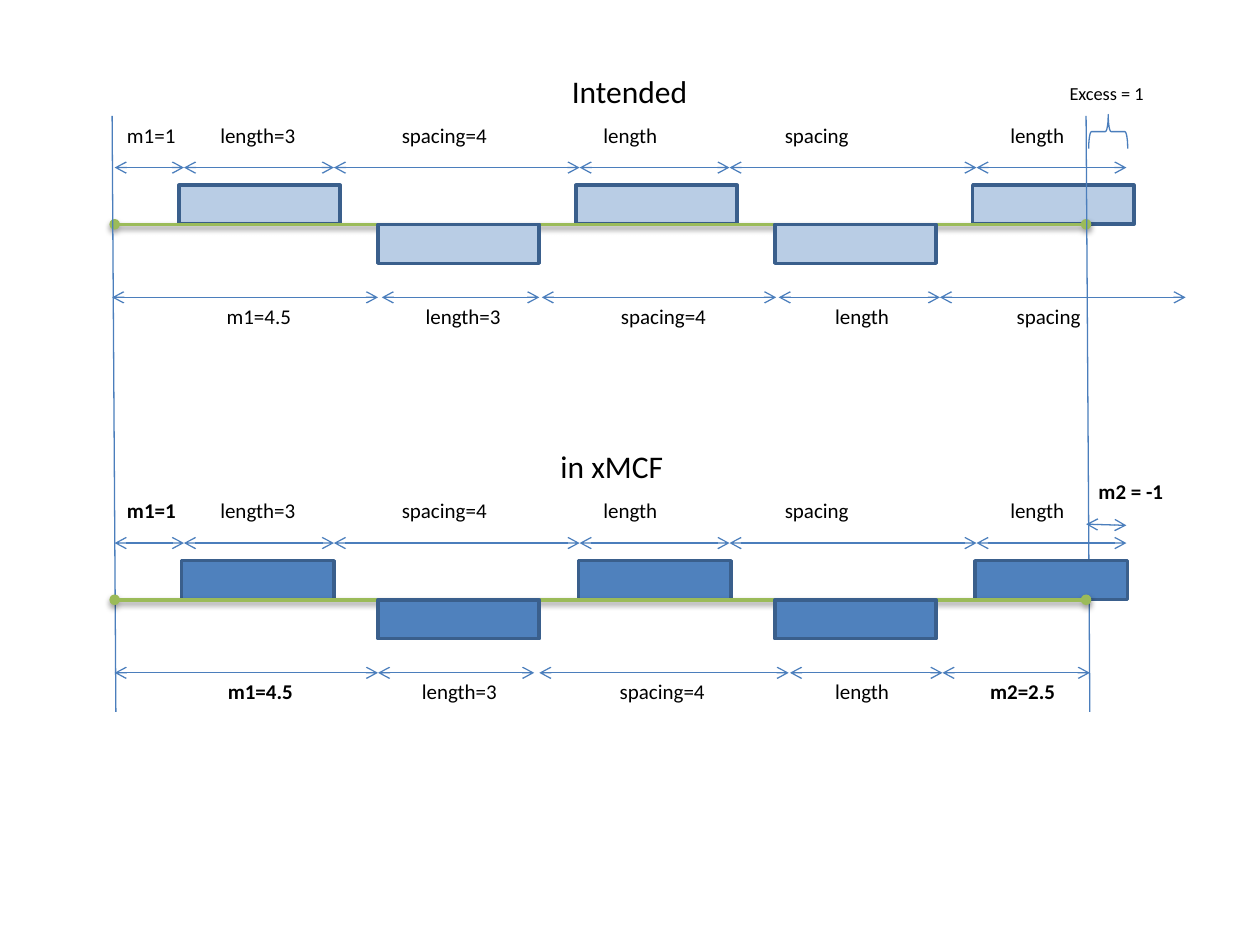
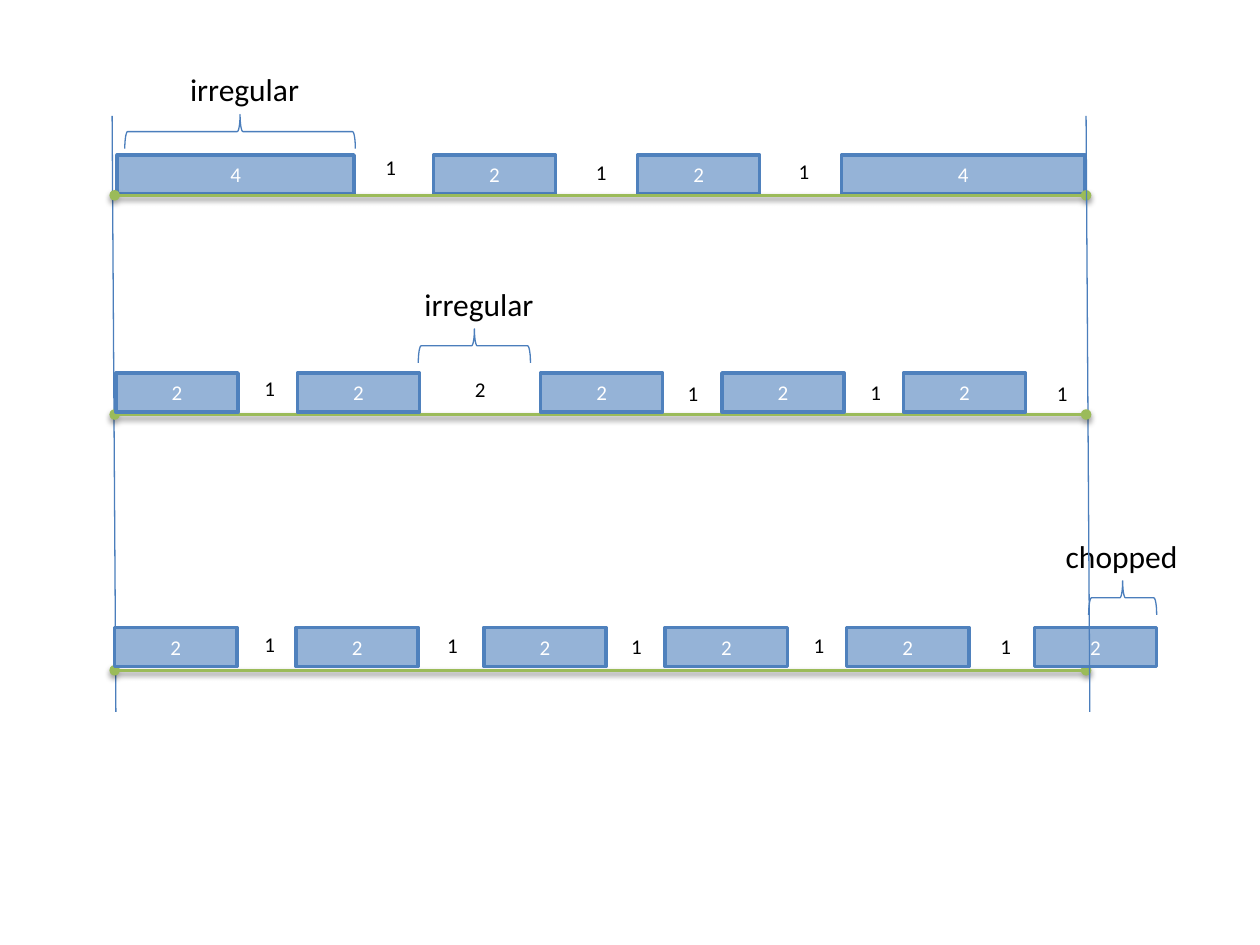
from dataclasses import dataclass

import lxml.etree
import pptx
import pptx.dml.color
import pptx.enum.shapes
import pptx.enum.text
import pptx.oxml
import pptx.oxml.ns
import pptx.shapes.autoshape
import pptx.shapes.connector
import pptx.slide
import pptx.util

Inches = pptx.util.Inches
Pt = pptx.util.Pt
RGBColor = pptx.dml.color.RGBColor
Shapes = pptx.enum.shapes.MSO_SHAPE
qn = pptx.oxml.ns.qn

FONT = "Calibri"
BLACK = RGBColor(0x00, 0x00, 0x00)
WHITE = RGBColor(0xFF, 0xFF, 0xFF)
THIN_BLUE = RGBColor(0x4B, 0x7E, 0xBC)
DARK_BLUE = RGBColor(0x3A, 0x5F, 0x8C)
MID_BLUE = RGBColor(0x4F, 0x81, 0xBD)
SOFT_BLUE = RGBColor(0x95, 0xB3, 0xD7)
PALE_BLUE = RGBColor(0xB9, 0xCD, 0xE5)
GREEN = RGBColor(0x9B, 0xBB, 0x59)

BLOCK_HEIGHT = 0.31
BRACE_HEIGHT = 0.27
BASE_LEFT, BASE_RIGHT = 0.91, 8.62
EDGE_TOP, EDGE_BOTTOM, EDGE_LEAN = 0.92, 5.65, 0.03
LEFT_EDGE, RIGHT_EDGE = 0.89, 8.62
BLOCK_STEP = 3.15
LABEL_WIDTHS = {
    "m1=1": 0.6, "m1=4.5": 0.73, "m2=2.5": 0.74, "length=3": 0.83,
    "spacing=4": 0.89, "length": 0.63, "spacing": 0.71,
}

BASELINE_SHADOW = (
    '<a:effectLst xmlns:a="http://schemas.openxmlformats.org/drawingml/2006/main">'
    '<a:outerShdw blurRad="40000" dist="20000" dir="5400000" rotWithShape="0">'
    '<a:srgbClr val="000000"><a:alpha val="38000"/></a:srgbClr>'
    "</a:outerShdw></a:effectLst>"
)


@dataclass(frozen=True)
class Measure:
    """A dimension arrow and its label."""
    start: float
    end: float
    label: str
    label_left: float
    bold: bool = False


@dataclass(frozen=True)
class Pattern:
    """A dimensioned baseline with blocks above and below it."""
    title: str
    title_left: float
    title_width: float
    top: float
    fill: RGBColor
    upper_left: float
    upper_width: float
    first_bold: bool
    lower: tuple[Measure, ...]


@dataclass(frozen=True)
class Block:
    left: float
    label: str = "2"
    width: float = 0.97


@dataclass(frozen=True)
class Mark:
    """A number between two blocks."""
    left: float
    top: float
    text: str = "1"


@dataclass(frozen=True)
class Callout:
    text: str
    text_left: float
    text_width: float
    brace_left: float
    brace_width: float
    brace_top: float


@dataclass(frozen=True)
class Row:
    baseline: float
    block_top: float
    blocks: tuple[Block, ...]
    marks: tuple[Mark, ...]
    callout: Callout
    baseline_in_front: bool = False


UPPER_MEASURES = (
    Measure(0.91, 1.46, "m1=1", 0.91),
    Measure(1.46, 2.65, "length=3", 1.65),
    Measure(2.65, 4.6, "spacing=4", 3.09),
    Measure(4.6, 5.79, "length", 4.69),
    Measure(5.79, 7.75, "spacing", 6.13),
    Measure(7.75, 8.94, "length", 7.92),
)

INTENDED = Pattern(
    "Intended", 4.44, 1.13, 0.52, PALE_BLUE, 1.42, 1.28, False,
    (
        Measure(0.89, 3, "m1=4.5", 1.7),
        Measure(3.03, 4.28, "length=3", 3.28),
        Measure(4.3, 6.16, "spacing=4", 4.83),
        Measure(6.18, 7.46, "length", 6.53),
        Measure(7.46, 9.41, "spacing", 7.97),
    ),
)
IN_XMCF = Pattern(
    "in xMCF", 4.35, 1.03, 3.5, MID_BLUE, 1.44, 1.21, True,
    (
        Measure(0.91, 3, "m1=4.5", 1.71, True),
        Measure(3, 4.24, "length=3", 3.25),
        Measure(4.28, 6.26, "spacing=4", 4.82),
        Measure(6.27, 7.48, "length", 6.53),
        Measure(7.48, 8.65, "m2=2.5", 7.76, True),
    ),
)

LONG_ENDS = Row(
    1.55, 1.23,
    (Block(3.44), Block(5.06), Block(0.93, "4", 1.88), Block(6.68, "4", 1.93)),
    (Mark(2.96, 1.18), Mark(4.63, 1.22), Mark(6.24, 1.21)),
    Callout("irregular", 1.41, 1.11, 0.99, 1.83, 0.91),
    baseline_in_front=True,
)
WIDE_GAP = Row(
    3.29, 2.96,
    tuple(Block(left) for left in (0.92, 2.36, 4.29, 5.73, 7.17)),
    (Mark(2, 2.93), Mark(3.67, 2.94, "2"), Mark(5.36, 2.97),
     Mark(6.81, 2.96), Mark(8.29, 2.97)),
    Callout("irregular", 3.27, 1.08, 3.32, 0.89, 2.61),
)
CUT_END = Row(
    5.32, 4.98,
    tuple(Block(left) for left in (0.91, 2.35, 3.84, 5.28, 6.72, 8.21)),
    (Mark(2, 4.96), Mark(3.45, 4.97), Mark(4.91, 4.98),
     Mark(6.36, 4.97), Mark(7.84, 4.98)),
    Callout("chopped", 8.36, 1.1, 8.64, 0.54, 4.61),
)


def format_text(frame, size: float, color: RGBColor, bold: bool = False) -> None:
    for para in frame.paragraphs:
        for span in para.runs:
            span.font.name = FONT
            span.font.size = Pt(size)
            span.font.bold = bold
            span.font.color.rgb = color


def add_label(page: pptx.slide.Slide, text: str, left: float, top: float,
              width: float, size: float = 12, bold: bool = False) -> None:
    height = 0.4 if size == 18 else 0.3
    box = page.shapes.add_textbox(Inches(left), Inches(top), Inches(width), Inches(height))
    frame = box.text_frame
    frame.text = text
    frame.word_wrap = False
    frame.auto_size = pptx.enum.text.MSO_AUTO_SIZE.SHAPE_TO_FIT_TEXT
    format_text(frame, size, BLACK, bold)


def add_block(page: pptx.slide.Slide, left: float, top: float, width: float,
              fill: RGBColor, outline: RGBColor, label: str = "") -> None:
    block = page.shapes.add_shape(
        Shapes.RECTANGLE, Inches(left), Inches(top), Inches(width), Inches(BLOCK_HEIGHT))
    block.shadow.inherit = False
    block.fill.solid()
    block.fill.fore_color.rgb = fill
    block.line.color.rgb = outline
    block.line.width = Pt(2)
    if label:
        frame = block.text_frame
        frame.text = label
        frame.vertical_anchor = pptx.enum.text.MSO_ANCHOR.MIDDLE
        frame.paragraphs[0].alignment = pptx.enum.text.PP_ALIGN.CENTER
        format_text(frame, 12, WHITE)


def add_line(page: pptx.slide.Slide, start: tuple[float, float], end: tuple[float, float],
             color: RGBColor = THIN_BLUE, width: float = 0.75, ends: str = "",
             shadow: bool = False) -> None:
    line = page.shapes.add_connector(
        pptx.enum.shapes.MSO_CONNECTOR.STRAIGHT,
        Inches(start[0]), Inches(start[1]), Inches(end[0]), Inches(end[1]))
    line.line.color.rgb = color
    line.line.width = Pt(width)
    properties = line._element.spPr
    if ends:
        outline = properties.find(qn("a:ln"))
        for tag in ("a:headEnd", "a:tailEnd"):
            lxml.etree.SubElement(outline, qn(tag), type=ends)
    if shadow:
        properties.append(pptx.oxml.parse_xml(BASELINE_SHADOW))
    else:
        lxml.etree.SubElement(properties, qn("a:effectLst"))


def add_baseline(page: pptx.slide.Slide, y: float) -> None:
    add_line(page, (BASE_LEFT, y), (BASE_RIGHT, y), GREEN, 2, "oval", shadow=True)


def add_edge(page: pptx.slide.Slide, x: float) -> None:
    """Draw a slightly leaning limit line down through all rows."""
    add_line(page, (x, EDGE_TOP), (x + EDGE_LEAN, EDGE_BOTTOM))


def add_brace(page: pptx.slide.Slide, left: float, top: float, width: float) -> None:
    """Draw a brace pointing up; left, top and width are those seen after its turn."""
    turn_shift = (width - BRACE_HEIGHT) / 2
    brace = page.shapes.add_shape(
        Shapes.LEFT_BRACE, Inches(left + turn_shift), Inches(top - turn_shift),
        Inches(BRACE_HEIGHT), Inches(width))
    brace.rotation = 90
    brace.shadow.inherit = False
    brace.fill.background()
    brace.line.color.rgb = THIN_BLUE
    brace.line.width = Pt(0.75)


def add_measure(page: pptx.slide.Slide, measure: Measure, arrow_y: float,
                label_top: float, bold: bool) -> None:
    add_line(page, (measure.start, arrow_y), (measure.end, arrow_y), ends="arrow")
    add_label(page, measure.label, measure.label_left, label_top,
              LABEL_WIDTHS[measure.label], bold=bold)


def add_upper_half(page: pptx.slide.Slide, pattern: Pattern) -> None:
    top = pattern.top
    add_label(page, pattern.title, pattern.title_left, top, pattern.title_width, 18)
    for index, measure in enumerate(UPPER_MEASURES):
        add_measure(page, measure, top + 0.81, top + 0.4, pattern.first_bold and index == 0)
    for index in range(3):
        add_block(page, pattern.upper_left + index * BLOCK_STEP, top + 0.95,
                  pattern.upper_width, pattern.fill, DARK_BLUE)
    add_baseline(page, top + 1.26)


def add_lower_half(page: pptx.slide.Slide, pattern: Pattern) -> None:
    top = pattern.top
    for index in range(2):
        add_block(page, 3 + index * BLOCK_STEP, top + 1.26, 1.28, pattern.fill, DARK_BLUE)
    for measure in pattern.lower:
        add_measure(page, measure, top + 1.84, top + 1.84, measure.bold)


def add_row(page: pptx.slide.Slide, row: Row) -> None:
    if not row.baseline_in_front:
        add_baseline(page, row.baseline)
    for block in row.blocks:
        add_block(page, block.left, row.block_top, block.width, SOFT_BLUE, MID_BLUE, block.label)
    if row.baseline_in_front:
        add_baseline(page, row.baseline)
    for mark in row.marks:
        add_label(page, mark.text, mark.left, mark.top, 0.29)
    callout = row.callout
    add_brace(page, callout.brace_left, callout.brace_top, callout.brace_width)
    add_label(page, callout.text, callout.text_left, callout.brace_top - 0.4,
              callout.text_width, 18)


def build_margins_page(page: pptx.slide.Slide) -> None:
    add_upper_half(page, INTENDED)
    add_edge(page, LEFT_EDGE)
    add_edge(page, RIGHT_EDGE)
    add_upper_half(page, IN_XMCF)
    add_line(page, (8.62, 4.16), (8.94, 4.17), ends="arrow")
    add_label(page, "m2 = -1", 8.62, 3.75, 0.73, bold=True)
    add_brace(page, 8.64, 0.91, 0.31)
    add_label(page, "Excess = 1", 8.39, 0.6, 0.83, 10.5)
    for pattern in (INTENDED, IN_XMCF):
        add_lower_half(page, pattern)


def build_irregular_page(page: pptx.slide.Slide) -> None:
    add_edge(page, LEFT_EDGE)
    add_row(page, LONG_ENDS)
    add_row(page, CUT_END)
    add_edge(page, RIGHT_EDGE)
    add_row(page, WIDE_GAP)


def main() -> None:
    deck = pptx.Presentation()
    deck.slide_width, deck.slide_height = Inches(10), Inches(7.5)
    blank = deck.slide_layouts[6]
    for build_page in (build_margins_page, build_irregular_page):
        build_page(deck.slides.add_slide(blank))
    deck.save("out.pptx")


if __name__ == "__main__":
    main()
